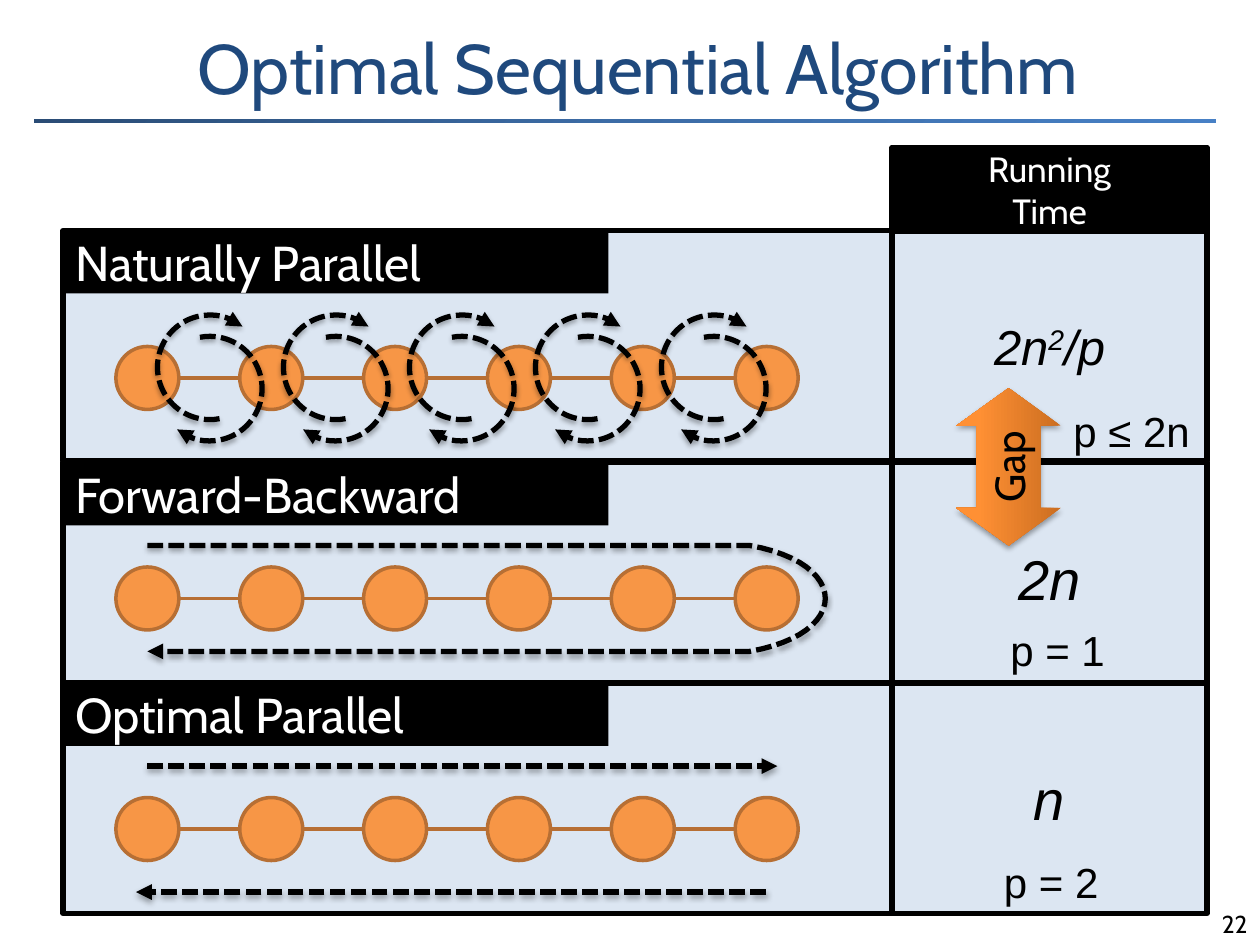
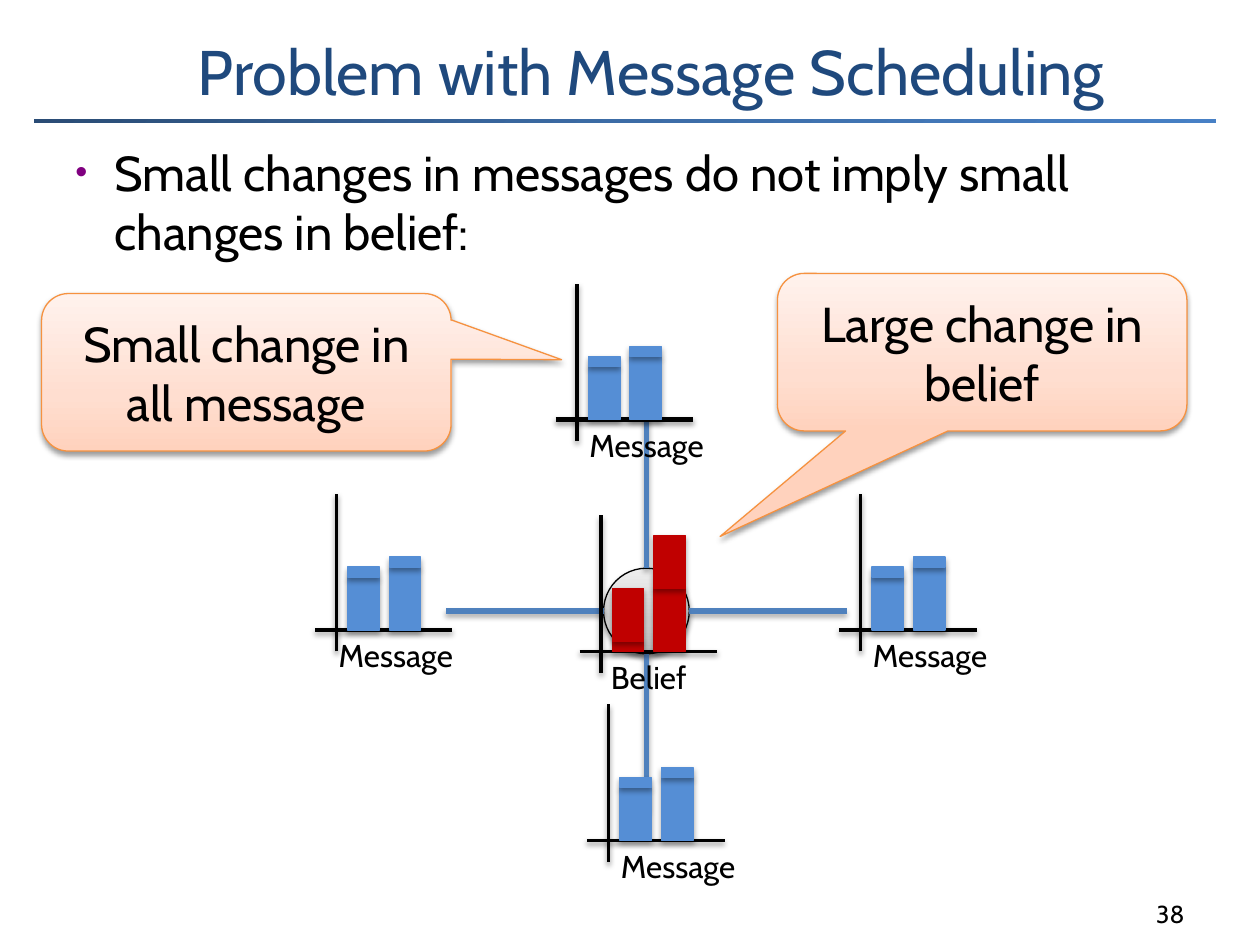
from lxml import etree
from pptx import Presentation
from pptx import util as u
from pptx.dml.color import RGBColor
from pptx.enum import dml, shapes, text
from pptx.oxml import ns

BLACK = RGBColor(0x00, 0x00, 0x00)
WHITE = RGBColor(0xFF, 0xFF, 0xFF)
NAVY = RGBColor(0x1F, 0x49, 0x7D)
PALE_BLUE = RGBColor(0xDC, 0xE6, 0xF2)
ORANGE = RGBColor(0xF7, 0x96, 0x46)
BROWN = RGBColor(0xB7, 0x6F, 0x34)
CALLOUT_EDGE = RGBColor(0xF6, 0x92, 0x40)
SPOKE_BLUE = RGBColor(0x4F, 0x81, 0xBD)
BAR_BLUE = RGBColor(0x55, 0x8E, 0xD5)
BAR_RED = RGBColor(0xC0, 0x00, 0x00)
BULLET_PURPLE = RGBColor(0x80, 0x00, 0x80)

RULE_STOPS = [(0, "2A4C75"), (50, "3C6CA6"), (100, "4780C5")]
GAP_STOPS = [(0, "CC6E20"), (80, "FF9034"), (100, "FF9136")]
HUB_STOPS = [(0, "BDBDBD"), (35, "D1D1D1"), (100, "EEEEEE")]
CALLOUT_STOPS = [(0, "FFD2BD"), (35, "FFDED0"), (100, "FFF2ED")]

HEADING_FONT = "Cabin"
MATH_FONT = "Arial"
SHAPE = shapes.MSO_SHAPE
CENTER = text.PP_ALIGN.CENTER
RIGHT = text.PP_ALIGN.RIGHT
TOP = text.MSO_ANCHOR.TOP
MIDDLE = text.MSO_ANCHOR.MIDDLE
BOTTOM = text.MSO_ANCHOR.BOTTOM

ROW_HEIGHT = 1.83
NODE_SIZE = 0.5
NODE_LEFTS = [0.92 + 0.983 * index for index in range(6)]
MESSAGE_STACKS = [(0.42, 0.08), (0.5, 0.08)]
BELIEF_STACKS = [(0.08, 0.42), (0.5, 0.42)]


def inches(*lengths):
    return [u.Inches(length) for length in lengths]


def add_xml(parent, tag, **attributes):
    return etree.SubElement(parent, ns.qn(tag), attributes)


def set_shadow(item, opacity=None):
    properties = item._element.spPr
    effects = properties.find(ns.qn("a:effectLst"))
    if effects is None:
        effects = add_xml(properties, "a:effectLst")
    if opacity:
        shadow = add_xml(effects, "a:outerShdw", blurRad=str(u.Pt(3.1)), dist=str(u.Pt(1.8)),
                         dir="5400000", rotWithShape="0")
        color = add_xml(shadow, "a:srgbClr", val="000000")
        add_xml(color, "a:alpha", val=str(opacity * 1000))


def set_gradient(shape, stops, angle):
    shape.fill.gradient()
    shape.fill.gradient_angle = 360 - angle
    stop_list = shape._element.spPr.find(ns.qn("a:gradFill")).find(ns.qn("a:gsLst"))
    for stop in list(stop_list):
        stop_list.remove(stop)
    for position, color in stops:
        stop = add_xml(stop_list, "a:gs", pos=str(position * 1000))
        add_xml(stop, "a:srgbClr", val=color)


def set_line(item, color, width, dashed=False, arrow=False):
    item.line.color.rgb = color
    item.line.width = u.Pt(width)
    if dashed:
        item.line.dash_style = dml.MSO_LINE.SQUARE_DOT
    if arrow:
        add_xml(item.line._get_or_add_ln(), "a:tailEnd", type="triangle")


def style_dashed_arrow(item):
    set_line(item, BLACK, 3, dashed=True, arrow=True)
    set_shadow(item, 35)


def add_box(page, kind, place, fill=None, edge=None, width=0.75, opacity=None):
    box = page.shapes.add_shape(kind, *inches(*place))
    box.shadow.inherit = False
    if isinstance(fill, RGBColor):
        box.fill.solid()
        box.fill.fore_color.rgb = fill
    elif fill:
        set_gradient(box, fill, 270)
    else:
        box.fill.background()
    if edge is None:
        box.line.fill.background()
    else:
        set_line(box, edge, width)
    set_shadow(box, opacity)
    return box


def add_line(page, start, end, color, width, opacity=None):
    line = page.shapes.add_connector(shapes.MSO_CONNECTOR.STRAIGHT, *inches(*start, *end))
    set_line(line, color, width)
    set_shadow(line, opacity)
    return line


def add_span(para, words, size, color=BLACK, font=HEADING_FONT, italic=None):
    span = para.add_run()
    span.text = words
    span.font.size = u.Pt(size)
    span.font.name = font
    span.font.color.rgb = color
    span.font.italic = italic
    return span


def write(box, lines, size, color=BLACK, font=HEADING_FONT, align=None, anchor=MIDDLE,
          wrap=False, italic=None):
    frame = box.text_frame
    frame.word_wrap = wrap
    frame.vertical_anchor = anchor
    for index, words in enumerate(lines):
        para = frame.add_paragraph() if index else frame.paragraphs[0]
        para.alignment = align or text.PP_ALIGN.LEFT
        add_span(para, words, size, color, font, italic)
    return frame


def add_label(page, place, words, size, **style):
    box = page.shapes.add_textbox(*inches(*place))
    return write(box, [words], size, **{"anchor": TOP, **style})


def add_page(deck, title, title_size, number, number_place):
    page = deck.slides.add_slide(deck.slide_layouts[6])
    rule = add_box(page, SHAPE.RECTANGLE, (0.25, 0.92, 9.42, 0.08), None, WHITE, 3)
    set_gradient(rule, RULE_STOPS, 45)
    add_label(page, (1.47, 0.08, 8.2, 0.83), title, title_size, color=NAVY, anchor=BOTTOM, wrap=True)
    add_label(page, (*number_place, 2.08, 0.5), number, 14, align=RIGHT, anchor=BOTTOM, wrap=True)
    return page


def add_row(page, top, name, chain_top):
    add_box(page, SHAPE.RECTANGLE, (0.5, top, 6.58, ROW_HEIGHT), PALE_BLUE, BLACK, 3)
    tab = add_box(page, SHAPE.RECTANGLE, (0.5, top, 4.33, 0.5), BLACK)
    write(tab, [name], 28, WHITE)
    middle = chain_top + NODE_SIZE / 2
    add_line(page, (NODE_LEFTS[0] + NODE_SIZE, middle), (NODE_LEFTS[-1], middle), BROWN, 2)
    for left in NODE_LEFTS:
        add_box(page, SHAPE.OVAL, (left, chain_top, NODE_SIZE, NODE_SIZE), ORANGE, BROWN, 2)


def add_time_cell(page, top, words, size):
    cell = add_box(page, SHAPE.RECTANGLE, (7.08, top, 2.5, ROW_HEIGHT), PALE_BLUE, BLACK, 3)
    return write(cell, [words], size, font=MATH_FONT, align=CENTER, italic=True)


def add_message_arc(page, left, top, rotation):
    arc = add_box(page, SHAPE.ARC, (left, top, 0.83, 0.83))
    arc.rotation = rotation
    for index, degrees in enumerate((169.17, 38.75)):
        arc.adjustments[index] = degrees * 0.6
    style_dashed_arrow(arc)


def add_sweep(page):
    top, bottom, start, turn, bulge = 4.33, 5.17, 1.17, 5.95, 6.75
    points = []
    for step in range(25):
        t = step / 24
        x = turn + 3 * t * (1 - t) * (bulge - turn)
        y = (top * (1 - t) ** 3 + 3 * 4.47 * t * (1 - t) ** 2
             + 3 * 5.03 * t ** 2 * (1 - t) + bottom * t ** 3)
        points.append(inches(x, y))
    points.append(inches(start, bottom))
    builder = page.shapes.build_freeform(*inches(start, top))
    builder.add_line_segments(points, close=False)
    sweep = builder.convert_to_shape()
    sweep.shadow.inherit = False
    sweep.fill.background()
    style_dashed_arrow(sweep)


def add_gap_arrow(page):
    gap = add_box(page, SHAPE.LEFT_RIGHT_ARROW, (7.38, 3.29, 1.25, 0.83), GAP_STOPS, opacity=35)
    gap.rotation = 270
    gap.adjustments[0] = 0.61
    gap.adjustments[1] = 0.36
    write(gap, ["Gap"], 24, align=CENTER)


def add_bar_chart(page, origin, stacks, color, label, label_place, axis_width=2):
    x, y = origin
    add_line(page, (x - 0.17, y), (x + 0.92, y), BLACK, axis_width, 38)
    add_line(page, (x, y + 0.17), (x, y - 1.08), BLACK, 2, 38)
    for left, stack in zip((x + 0.09, x + 0.42), stacks):
        top = y
        for height in stack:
            top -= height
            add_box(page, SHAPE.RECTANGLE, (left, top, 0.25, height), color, color, opacity=35)
    add_label(page, label_place, label, 18)


def add_callout(page, place, lines, pointer):
    callout = add_box(page, SHAPE.ROUNDED_RECTANGULAR_CALLOUT, (*place, 3.25, 1.25),
                      CALLOUT_STOPS, CALLOUT_EDGE, opacity=38)
    for index, value in enumerate((*pointer, 0.17)):
        callout.adjustments[index] = value
    write(callout, lines, 28, align=CENTER)


def add_bullet(page, place, words):
    frame = add_label(page, place, words, 28, wrap=True)
    para = frame.paragraphs[0]
    para.space_before = u.Pt(5.6)
    properties = para._p.get_or_add_pPr()
    properties.set("marL", str(u.Inches(0.31)))
    properties.set("indent", str(u.Inches(-0.31)))
    color = add_xml(properties, "a:buClr")
    add_xml(color, "a:srgbClr", val=str(BULLET_PURPLE))
    add_xml(properties, "a:buSzPct", val="70000")
    add_xml(properties, "a:buFont", typeface=MATH_FONT)
    add_xml(properties, "a:buChar", char="•")


def build_algorithm_page(deck):
    page = add_page(deck, "Optimal Sequential Algorithm", 40, "22", (7.92, 7))
    add_row(page, 3.67, "Forward-Backward", 4.5)
    add_sweep(page)

    add_row(page, 1.83, "Naturally Parallel", 2.75)
    for index in range(5):
        add_message_arc(page, 1.25 + index, 2.5, 270)
        add_message_arc(page, 1.25 + index, 2.67, 90)
    para = add_time_cell(page, 1.83, "2n", 28).paragraphs[0]
    power = add_span(para, "2", 28, font=MATH_FONT, italic=True)
    power.font._element.set("baseline", "30000")
    add_span(para, "/p", 28, font=MATH_FONT, italic=True)
    add_label(page, (8.42, 3.17, 1.15, 0.5), "p ≤ 2n", 24, font=MATH_FONT)
    header = add_box(page, SHAPE.RECTANGLE, (7.08, 1.17, 2.5, 0.67), BLACK, BLACK, 3)
    write(header, ["Running", "Time"], 20, WHITE, align=CENTER)

    add_time_cell(page, 3.67, "2n", 32)
    add_gap_arrow(page)
    add_label(page, (7.92, 4.91, 0.96, 0.5), "p = 1", 24, font=MATH_FONT)

    add_row(page, 5.42, "Optimal Parallel", 6.33)
    for start, end in (((1.17, 6.08), (6.17, 6.08)), ((6.08, 7.08), (1.08, 7.08))):
        arrow = add_line(page, start, end, BLACK, 3, 35)
        set_line(arrow, BLACK, 3, dashed=True, arrow=True)
    add_time_cell(page, 5.42, "n", 32)
    add_label(page, (7.87, 6.75, 0.96, 0.5), "p = 2", 24, font=MATH_FONT)


def build_scheduling_page(deck):
    page = add_page(deck, "Problem with Message Scheduling", 36, "38", (7.42, 6.92))
    add_bullet(page, (0.5, 1.08, 9.08, 1.17),
               "Small changes in messages do not imply small changes in belief:")

    hub_x, hub_y, radius, reach = 5.13, 4.85, 0.34, 1.59
    add_box(page, SHAPE.OVAL, (hub_x - radius, hub_y - radius, 2 * radius, 2 * radius),
            HUB_STOPS, BLACK, opacity=38)
    for dx, dy in ((1, 0), (0, -1), (-1, 0), (0, 1)):
        add_line(page, (hub_x + radius * dx, hub_y + radius * dy),
                 (hub_x + reach * dx, hub_y + reach * dy), SPOKE_BLUE, 3, 35)

    messages = [((2.67, 5), 2.59, 2), ((4.58, 3.33), 4.58, 3),
                ((6.83, 5), 6.83, 2), ((4.83, 6.67), 4.83, 2)]
    for origin, label_left, axis_width in messages:
        add_bar_chart(page, origin, MESSAGE_STACKS, BAR_BLUE, "Message",
                      (label_left, origin[1], 1.16, 0.4), axis_width)
    add_bar_chart(page, (4.77, 5.17), BELIEF_STACKS, BAR_RED, "Belief", (4.75, 5.17, 0.82, 0.4))

    add_callout(page, (0.33, 2.33), ["Small change in", "all message"], (0.77, -0.08))
    add_callout(page, (6.17, 2.17), ["Large change in", "belief"], (-0.64, 1.17))


def main():
    deck = Presentation()
    deck.slide_width, deck.slide_height = inches(10, 7.5)
    build_algorithm_page(deck)
    build_scheduling_page(deck)
    deck.save("out.pptx")


if __name__ == "__main__":
    main()
